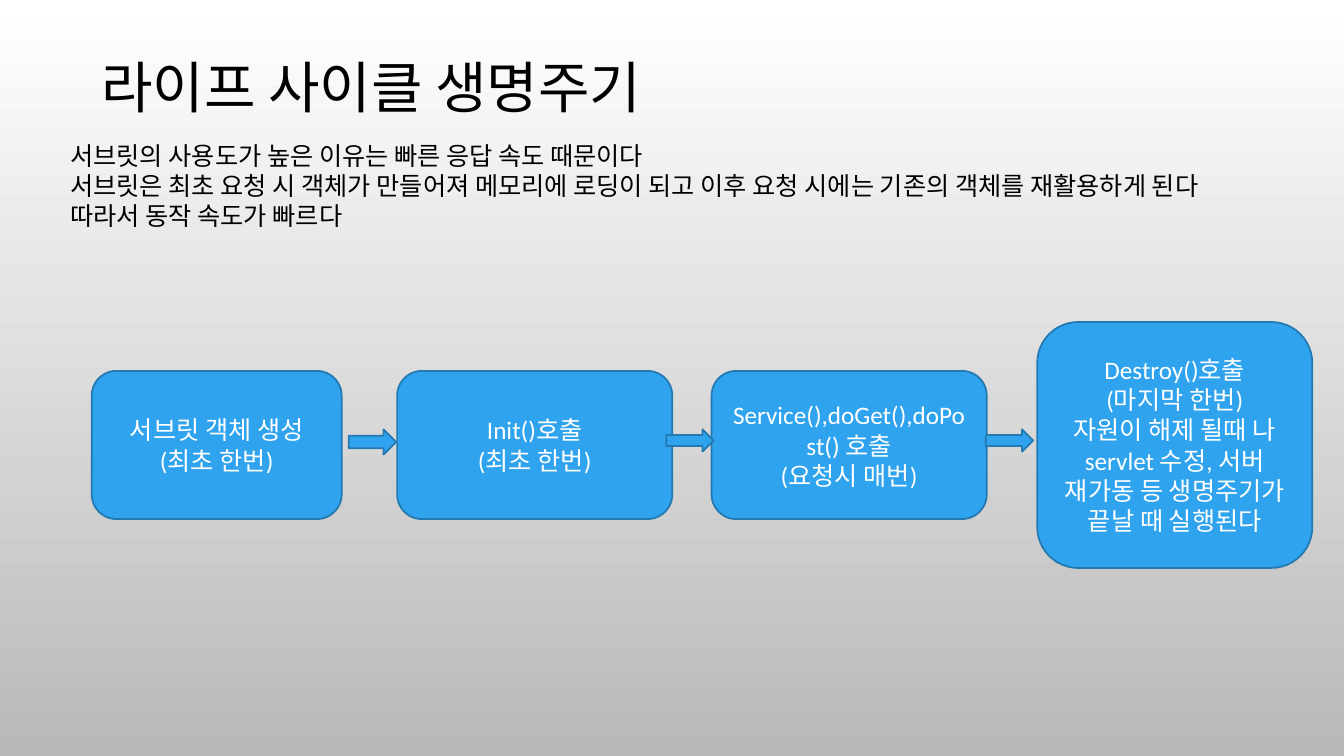
from pptx import Presentation
from pptx import util as u
from pptx.dml.color import RGBColor
from pptx.enum import shapes, text

Pt = u.Pt
HUES = {"top": "FFFFFF", "base": "B9B9B9", "ink": "000000",
        "fill": "2FA3EE", "edge": "2379B0", "pale": "FFFFFF"}
FORMS = {
    "title": {"name": "Calibri", "size": Pt(40), "hue": "ink"},
    "body": {"name": "Calibri", "size": Pt(18), "hue": "ink"},
    "step": {"name": "Calibri", "size": Pt(18), "hue": "pale"},
}
STEPS = [
    (0, 178.56, 105.84, ["서브릿 객체 생성", "(최초 한번)"]),
    (218.16, 196.56, 105.84, ["Init()호출", "(최초 한번)"]),
    (442.8, 196.56, 105.84, ["Service(),doGet(),doPost() 호출", "(요청시 매번)"]),
    (675.36, 196.56, 175.68, [
        "Destroy()호출", "(마지막 한번)",
        "자원이 해제 될때 나servlet 수정, 서버 재가동 등 생명주기가 끝날 때 실행된다"]),
]
ARROWS = [(183.6, 18), (410.4, 15.84), (638.64, 15.84)]


def hue(key):
    return RGBColor.from_string(HUES[key])


def write(frame, lines, form, align):
    frame.word_wrap = True
    for i, line in enumerate(lines):
        para = frame.paragraphs[0] if i == 0 else frame.add_paragraph()
        para.alignment = align
        run = para.add_run()
        run.text = line
        for key, value in FORMS[form].items():
            if key == "hue":
                run.font.color.rgb = hue(value)
            else:
                setattr(run.font, key, value)


def note(slide, box, lines, form):
    frame = slide.shapes.add_textbox(*map(Pt, box)).text_frame
    write(frame, lines, form, text.PP_ALIGN.LEFT)
    frame.auto_size = text.MSO_AUTO_SIZE.SHAPE_TO_FIT_TEXT


def block(slide, kind, box):
    shape = slide.shapes.add_shape(kind, *map(Pt, box))
    shape.shadow.inherit = False
    shape.fill.solid()
    shape.fill.fore_color.rgb = hue("fill")
    shape.line.color.rgb = hue("edge")
    shape.line.width = Pt(1.25)
    return shape


def flow(slide, box):
    left, top, _, height = box
    mid = top + height / 2
    for x, wide, tall, lines in STEPS:
        step = block(slide, shapes.MSO_SHAPE.ROUNDED_RECTANGLE,
                     (left + x, mid - tall / 2, wide, tall))
        step.text_frame.vertical_anchor = text.MSO_ANCHOR.MIDDLE
        write(step.text_frame, lines, "step", text.PP_ALIGN.CENTER)
    for x, tall in ARROWS:
        block(slide, shapes.MSO_SHAPE.RIGHT_ARROW,
              (left + x, mid - 11.16, 33.84, tall))


def shade(slide):
    fill = slide.background.fill
    fill.gradient()
    fill.gradient_angle = 270
    for stop, key, place in zip(fill.gradient_stops, ("top", "base"), (0, 1)):
        stop.color.rgb = hue(key)
        stop.position = place


def main():
    deck = Presentation()
    deck.slide_width, deck.slide_height = Pt(960), Pt(540)
    slide = deck.slides.add_slide(deck.slide_layouts[6])
    shade(slide)
    note(slide, (65.52, 33.84, 844.56, 55.44), ["라이프 사이클 생명주기"], "title")
    note(slide, (43.2, 96.48, 866.88, 72.72), [
        "서브릿의 사용도가 높은 이유는 빠른 응답 속도 때문이다",
        "서브릿은 최초 요청 시 객체가 만들어져 메모리에 로딩이 되고 이후 요청 시에는 "
        "기존의 객체를 재활용하게 된다 따라서 동작 속도가 빠르다"], "body")
    flow(slide, (65.52, 230.04, 871.92, 175.68))
    deck.save("out.pptx")


if __name__ == "__main__":
    main()
